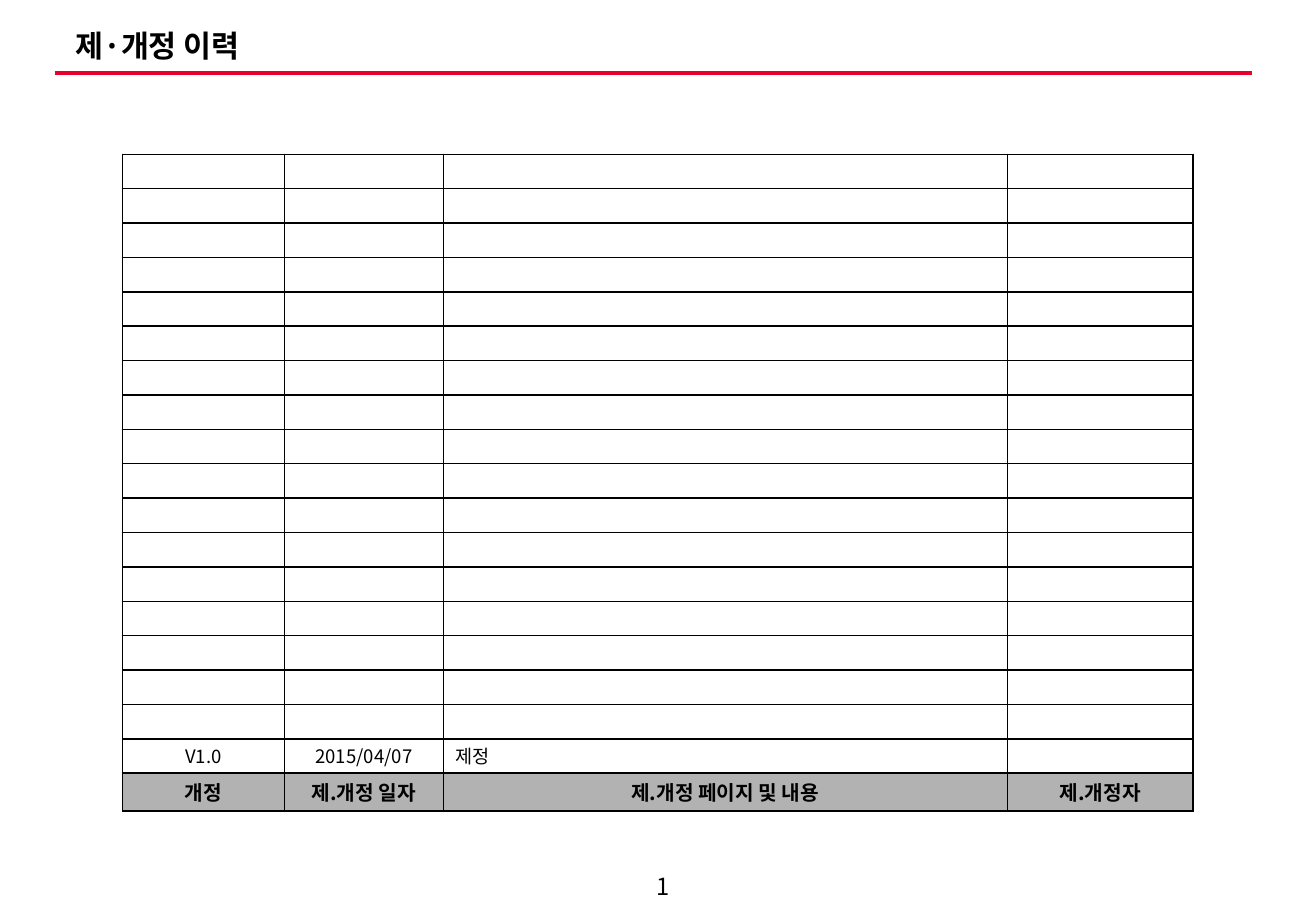
import pptx
import pptx.util
import pptx.dml.color
import pptx.enum.shapes
import pptx.enum.text
import pptx.oxml.ns
from dataclasses import dataclass
from lxml import etree

Inches = pptx.util.Inches
Pt = pptx.util.Pt
Align = pptx.enum.text.PP_ALIGN
Anchor = pptx.enum.text.MSO_ANCHOR
qn = pptx.oxml.ns.qn


@dataclass(frozen=True)
class Theme:
    font: str = "Noto Sans CJK KR"
    ink: str = "000000"
    rule: str = "EA002C"
    head: str = "B2B2B2"
    title: int = 18
    page: int = 14
    label: int = 12
    body: int = 11


THEME = Theme()
COLS = (1.33, 1.31, 4.64, 1.53)
ROWS = 19
ENTRY = ("V1.0", "2015/04/07", "제정", "")
LABELS = ("개정", "제.개정 일자", "제.개정 페이지 및 내용", "제.개정자")


def color(code):
    return pptx.dml.color.RGBColor.from_string(code)


def write(frame, text, size, bold=False, align=Align.LEFT, lead=1.0):
    para = frame.paragraphs[0]
    para.text = text
    para.alignment = align
    para.line_spacing = lead
    font = para.font
    font.name = THEME.font
    font.size = Pt(size)
    font.bold = bold
    font.color.rgb = color(THEME.ink)
    props = para._p.pPr.find(qn("a:defRPr"))
    etree.SubElement(props, qn("a:ea"), typeface=THEME.font)
    if not text:
        etree.SubElement(para._p, qn("a:endParaRPr"), sz=str(size * 100))


def add_text(slide, box, text, size, **style):
    shape = slide.shapes.add_textbox(*map(Inches, box))
    frame = shape.text_frame
    frame.word_wrap = True
    frame.vertical_anchor = Anchor.MIDDLE
    write(frame, text, size, **style)


def add_title(slide, box):
    """Place the heading with the red rule along the foot of the box."""
    left, top, width, height = box
    add_text(slide, (left + 0.07, top, width - 0.05, height - 0.02),
             "제·개정 이력", THEME.title, bold=True, lead=0.9)
    foot = top + height
    line = slide.shapes.add_connector(
        pptx.enum.shapes.MSO_CONNECTOR.STRAIGHT,
        Inches(left), Inches(foot), Inches(left + width), Inches(foot))
    line.line.color.rgb = color(THEME.rule)
    line.line.width = Pt(2.25)
    etree.SubElement(line._element.spPr, qn("a:effectLst"))


def add_edges(cell):
    props = cell._tc.get_or_add_tcPr()
    for spot, side in enumerate(("lnL", "lnR", "lnT", "lnB")):
        edge = etree.Element(qn("a:" + side), w=str(Pt(1)))
        fill = etree.SubElement(edge, qn("a:solidFill"))
        etree.SubElement(fill, qn("a:srgbClr"), val=THEME.ink)
        props.insert(spot, edge)


def add_log(slide, box):
    """Place the revision table, which grows upward from its labels."""
    table = slide.shapes.add_table(ROWS, len(COLS), *map(Inches, box)).table
    table.first_row = table.horz_banding = False
    for col, width in zip(table.columns, COLS):
        col.width = Inches(width)
    foot = 0.31
    step = (box[3] - foot) / (ROWS - 1)
    blank = ("",) * len(COLS)
    texts = [blank] * (ROWS - 2) + [ENTRY, LABELS]
    for y, row in enumerate(table.rows):
        last = y == ROWS - 1
        row.height = Inches(foot if last else step)
        for x, cell in enumerate(row.cells):
            cell.margin_top = cell.margin_bottom = Inches(0.01)
            cell.vertical_anchor = Anchor.MIDDLE
            if last:
                cell.fill.solid()
                cell.fill.fore_color.rgb = color(THEME.head)
            else:
                cell.fill.background()
            write(cell.text_frame, texts[y][x],
                  THEME.label if last else THEME.body, bold=last,
                  align=Align.CENTER if last or x != 2 else Align.LEFT,
                  lead=1.0 if last else 0.9)
            add_edges(cell)


def main():
    deck = pptx.Presentation()
    deck.slide_width = Inches(10.83)
    deck.slide_height = Inches(7.5)
    slide = deck.slides.add_slide(deck.slide_layouts[6])
    add_title(slide, (0.45, 0.21, 9.85, 0.39))
    add_log(slide, (1.01, 1.27, sum(COLS), 5.41))
    add_text(slide, (5.1, 7.14, 0.71, 0.31), "1", THEME.page,
             align=Align.CENTER)
    deck.save("out.pptx")


if __name__ == "__main__":
    main()
